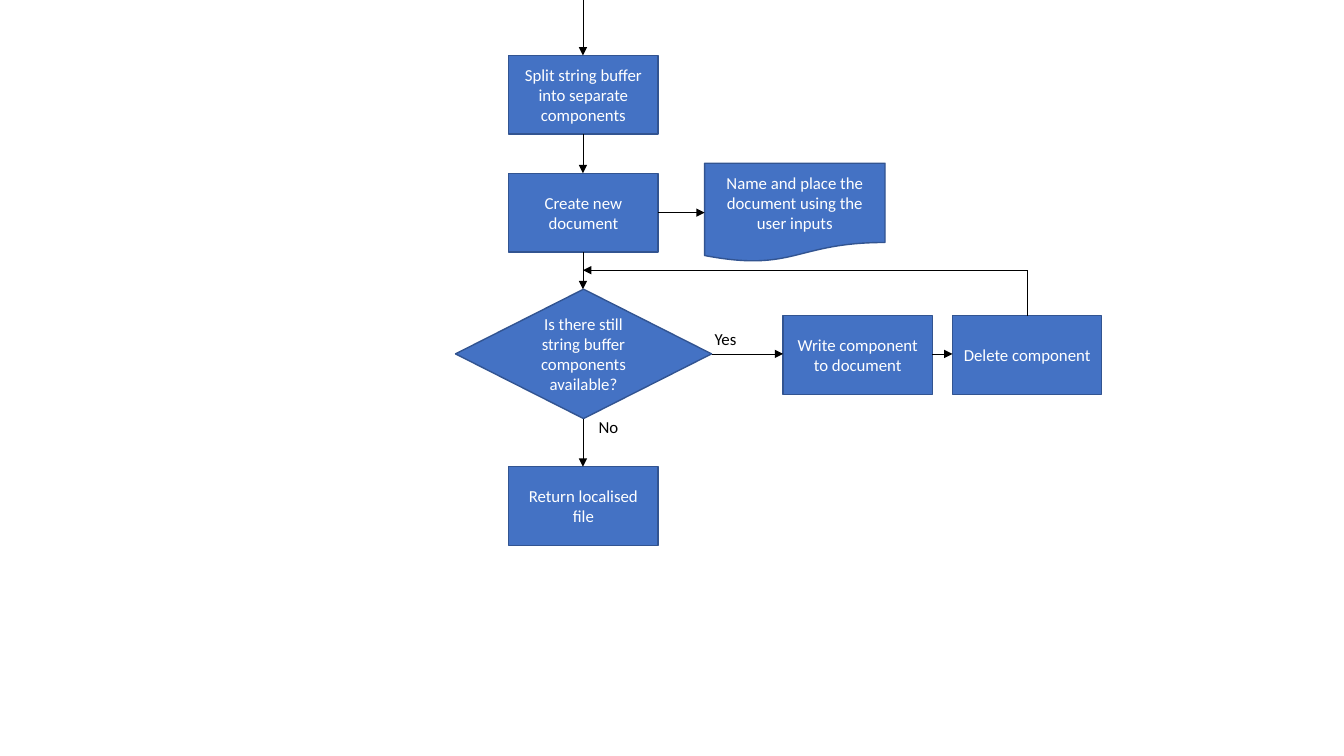
import pptx
import pptx.util
import pptx.dml.color
import pptx.enum.shapes
import pptx.enum.text
import pptx.oxml.ns
import lxml.etree

Pt = pptx.util.Pt
RGB = pptx.dml.color.RGBColor
KIND = pptx.enum.shapes.MSO_SHAPE
ALIGN = pptx.enum.text.PP_ALIGN
ANCHOR = pptx.enum.text.MSO_ANCHOR
qn = pptx.oxml.ns.qn

BLUE = RGB(0x44, 0x72, 0xC4)
EDGE = RGB(0x32, 0x54, 0x91)
WHITE = RGB(255, 255, 255)
BLACK = RGB(0, 0, 0)

AXIS = 416.4
WIDE, HIGH = 106.6, 56.2
LEFT = 363.4
SPLIT, CREATE, RETURN = 39.6, 123.8, 333.4
ROW = 225.4
WRITE, DELETE = 559.4, 680.4
ASK = (325.4, 206.6, 182.9, 92.4)
NAME = (503.3, 116.6, 128.9, 70.6)


def write(frame, text, color=BLACK, align=ALIGN.LEFT, anchor=ANCHOR.TOP):
    frame.word_wrap = True
    frame.vertical_anchor = anchor
    para = frame.paragraphs[0]
    para.alignment = align
    run = para.add_run()
    run.text = text
    run.font.name = "Calibri"
    run.font.size = Pt(12)
    run.font.color.rgb = color


def node(slide, text, x, y, w=WIDE, h=HIGH, kind=KIND.FLOWCHART_PROCESS):
    shape = slide.shapes.add_shape(kind, Pt(x), Pt(y), Pt(w), Pt(h))
    shape.shadow.inherit = False
    shape.fill.solid()
    shape.fill.fore_color.rgb = BLUE
    shape.line.color.rgb = EDGE
    shape.line.width = Pt(1)
    write(shape.text_frame, text, color=WHITE,
          align=ALIGN.CENTER, anchor=ANCHOR.MIDDLE)


def label(slide, text, x, y):
    box = slide.shapes.add_textbox(Pt(x), Pt(y), Pt(49), Pt(21.6))
    write(box.text_frame, text)


def link(slide, x1, y1, x2, y2, arrow=True):
    line = slide.shapes.add_connector(
        pptx.enum.shapes.MSO_CONNECTOR.STRAIGHT,
        Pt(x1), Pt(y1), Pt(x2), Pt(y2))
    line.line.color.rgb = BLACK
    line.line.width = Pt(0.5)
    if arrow:
        tail = lxml.etree.SubElement(line.line._get_or_add_ln(), qn("a:tailEnd"))
        tail.set("type", "triangle")
    lxml.etree.SubElement(line._element.spPr, qn("a:effectLst"))


def main():
    deck = pptx.Presentation()
    deck.slide_width, deck.slide_height = Pt(960), Pt(540)
    slide = deck.slides.add_slide(deck.slide_layouts[6])

    node(slide, "Split string buffer into separate components", LEFT, SPLIT)
    node(slide, "Create new document", LEFT, CREATE)
    node(slide, "Name and place the document using the user inputs",
         *NAME, kind=KIND.FLOWCHART_DOCUMENT)
    node(slide, "Is there still string buffer components available?",
         *ASK, kind=KIND.FLOWCHART_DECISION)
    node(slide, "Write component to document", WRITE, ROW)
    node(slide, "Delete component", DELETE, ROW)
    node(slide, "Return localised file", LEFT, RETURN)

    label(slide, "Yes", 503.3, 231.1)
    label(slide, "No", 420.5, 293.8)

    base = ASK[1] + ASK[3]
    for top, end in ((0, SPLIT), (SPLIT + HIGH, CREATE),
                     (CREATE + HIGH, ASK[1]), (base, RETURN)):
        link(slide, AXIS, top, AXIS, end)

    mid = ASK[1] + ASK[3] / 2
    for start, end, y in ((LEFT + WIDE, NAME[0], CREATE + HIGH / 2),
                          (ASK[0] + ASK[2], WRITE, mid),
                          (WRITE + WIDE, DELETE, mid)):
        link(slide, start, y, end, y)

    back, turn = 193, DELETE + WIDE / 2
    link(slide, turn, back, turn, ROW, arrow=False)
    link(slide, turn, back, AXIS, back)

    deck.save("out.pptx")


main()
